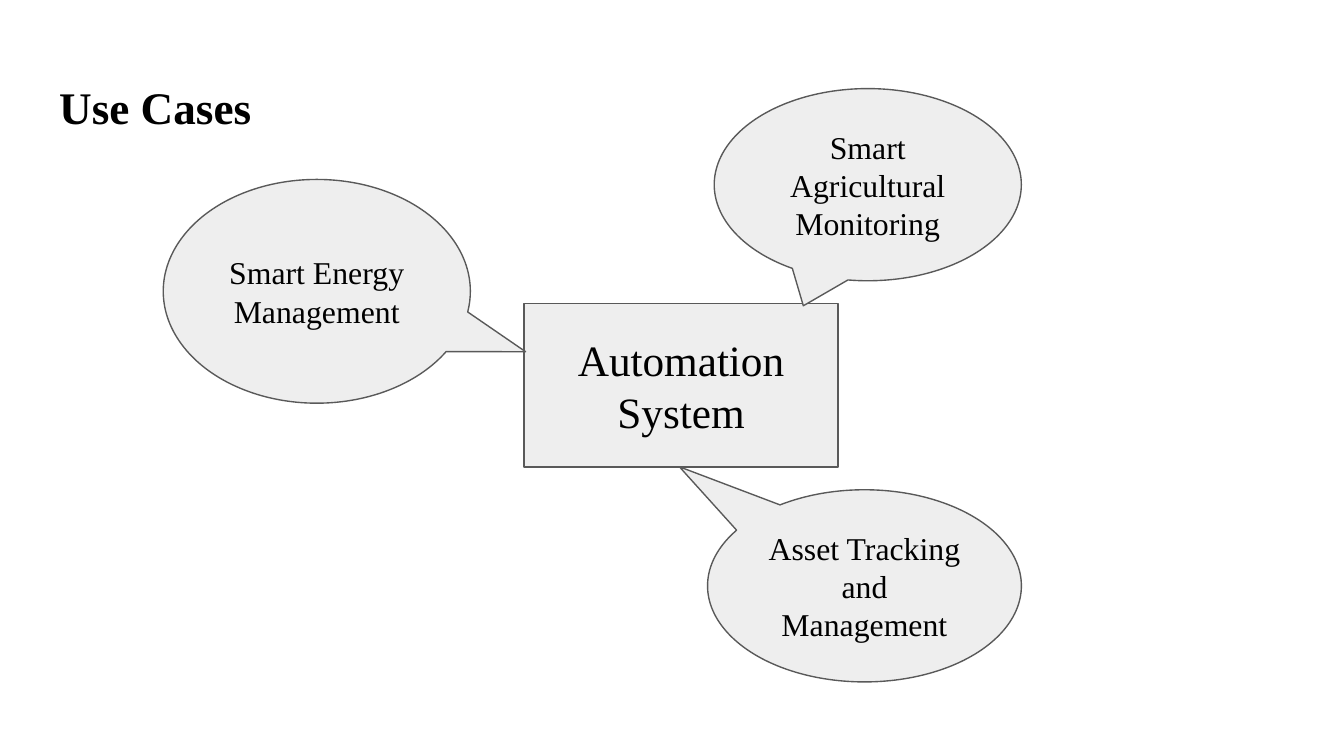
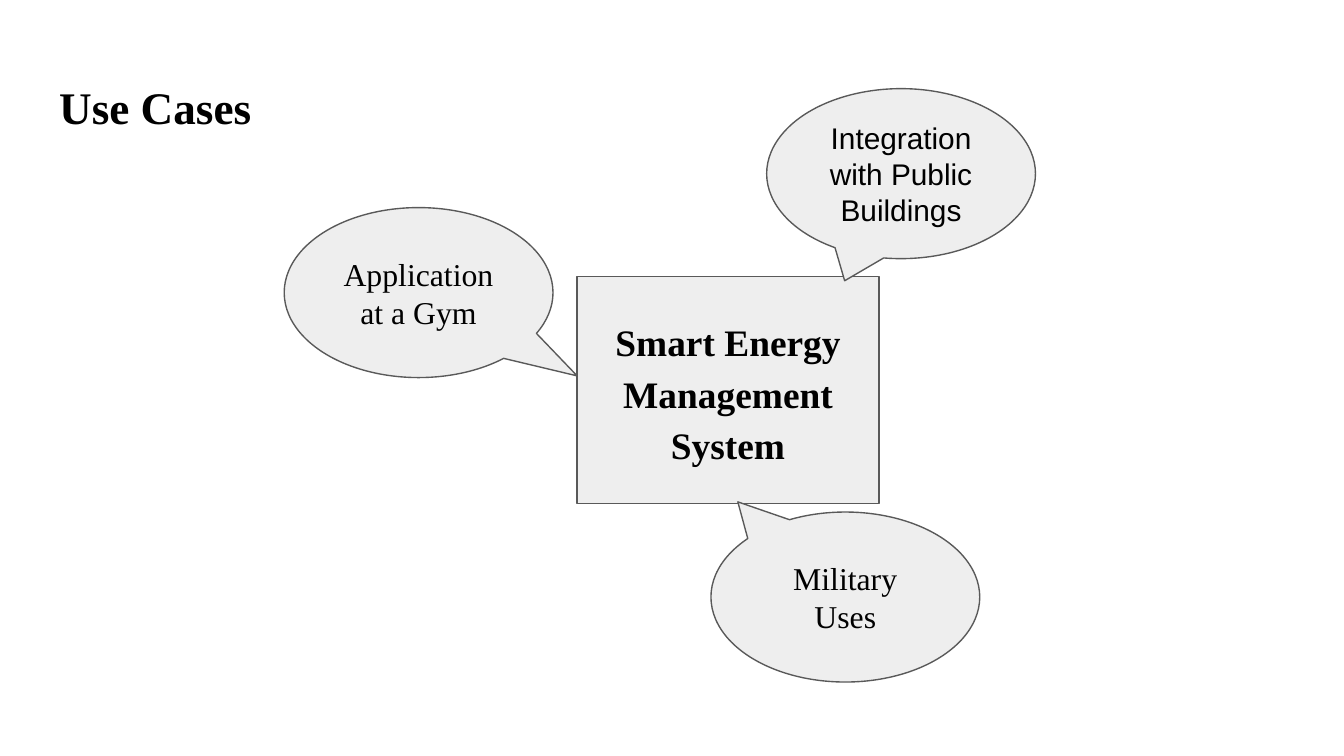
import dataclasses
import typing

import pptx
import pptx.dml.color
import pptx.enum.shapes
import pptx.enum.text
import pptx.util

SCALE = 4572  # EMU in one px, 200 px to the inch
KIND = pptx.enum.shapes.MSO_SHAPE
ALIGN = pptx.enum.text.PP_ALIGN
ANCHOR = pptx.enum.text.MSO_ANCHOR


@dataclasses.dataclass(frozen=True)
class Theme:
    ink: str = "000000"
    fill: str = "EEEEEE"
    edge: str = "595959"
    serif: str = "Times New Roman"
    sans: str = "Arial"
    title: float = 24.2
    system: float = 23.2
    domain: float = 20
    case: float = 17
    small: float = 16
    line: float = 0.75
    inset: int = 20


THEME = Theme()


class Box(typing.NamedTuple):
    left: int
    top: int
    width: int
    height: int


@dataclasses.dataclass(frozen=True)
class Style:
    size: float
    font: str = THEME.serif
    bold: bool = False
    align: ALIGN = ALIGN.CENTER
    anchor: ANCHOR = ANCHOR.MIDDLE
    spacing: float = 1.0
    after: int = 0


TITLE = Style(THEME.title, bold=True, align=ALIGN.LEFT, anchor=ANCHOR.TOP)
SYSTEM = Style(THEME.system)
DOMAIN = Style(THEME.domain, bold=True, spacing=1.15, after=12)
CASE = Style(THEME.case)
SMALL = Style(THEME.small, font=THEME.sans)


@dataclasses.dataclass(frozen=True)
class Node:
    text: str
    box: Box
    style: Style = CASE
    tip: tuple[float, float] | None = None  # pointer offset; None is a plain box


@dataclasses.dataclass(frozen=True)
class Page:
    title: str
    height: int
    nodes: tuple[Node, ...]


PAGES = (
    Page("Use Cases", 126, (
        Node("Automation System", Box(780, 452, 467, 243), SYSTEM),
        Node("Smart Agricultural Monitoring", Box(1063, 132, 457, 286), tip=(-0.21, 0.63)),
        Node("Asset Tracking and Management", Box(1053, 729, 467, 286), tip=(-0.59, -0.62)),
        Node("Smart Energy Management", Box(243, 267, 457, 333), tip=(0.68, 0.27)),
    )),
    Page("Use Cases", 92, (
        Node("Smart Energy Management System", Box(859, 411, 449, 338), DOMAIN),
        Node("Integration with Public Buildings", Box(1141, 132, 400, 253), SMALL, (-0.21, 0.63)),
        Node("Application at a Gym", Box(423, 309, 400, 253), tip=(0.59, 0.49)),
        Node("Military Uses", Box(1058, 762, 400, 253), tip=(-0.4, -0.56)),
    )),
)


def px(count: int) -> pptx.util.Emu:
    return pptx.util.Emu(count * SCALE)


def tint(code: str) -> pptx.dml.color.RGBColor:
    return pptx.dml.color.RGBColor.from_string(code)


def write(shape: typing.Any, text: str, style: Style) -> None:
    frame = shape.text_frame
    frame.text = text
    frame.word_wrap = True
    frame.auto_size = pptx.enum.text.MSO_AUTO_SIZE.NONE
    frame.vertical_anchor = style.anchor
    frame.margin_left = frame.margin_right = px(THEME.inset)
    frame.margin_top = frame.margin_bottom = px(THEME.inset)
    para = frame.paragraphs[0]
    para.alignment = style.align
    para.line_spacing = style.spacing
    para.space_before = pptx.util.Pt(0)
    para.space_after = pptx.util.Pt(style.after)
    para.font.name = style.font
    para.font.size = pptx.util.Pt(style.size)
    para.font.bold = style.bold
    para.font.color.rgb = tint(THEME.ink)


def draw(slide: typing.Any, node: Node) -> None:
    kind = KIND.OVAL_CALLOUT if node.tip else KIND.RECTANGLE
    shape = slide.shapes.add_shape(kind, *map(px, node.box))
    for index, value in enumerate(node.tip or ()):
        shape.adjustments[index] = value
    shape.shadow.inherit = False
    shape.fill.solid()
    shape.fill.fore_color.rgb = tint(THEME.fill)
    shape.line.color.rgb = tint(THEME.edge)
    shape.line.width = pptx.util.Pt(THEME.line)
    write(shape, node.text, node.style)


def build(deck: typing.Any, page: Page) -> None:
    slide = deck.slides.add_slide(deck.slide_layouts[5])
    # Title
    title = slide.shapes.title
    title.left, title.top, title.width, title.height = map(px, Box(68, 98, 1864, page.height))
    write(title, page.title, TITLE)
    # Central system and its use cases
    for node in page.nodes:
        draw(slide, node)


def main() -> None:
    deck = pptx.Presentation()
    deck.slide_width, deck.slide_height = px(2000), px(1125)
    for page in PAGES:
        build(deck, page)
    deck.save("out.pptx")


if __name__ == "__main__":
    main()
